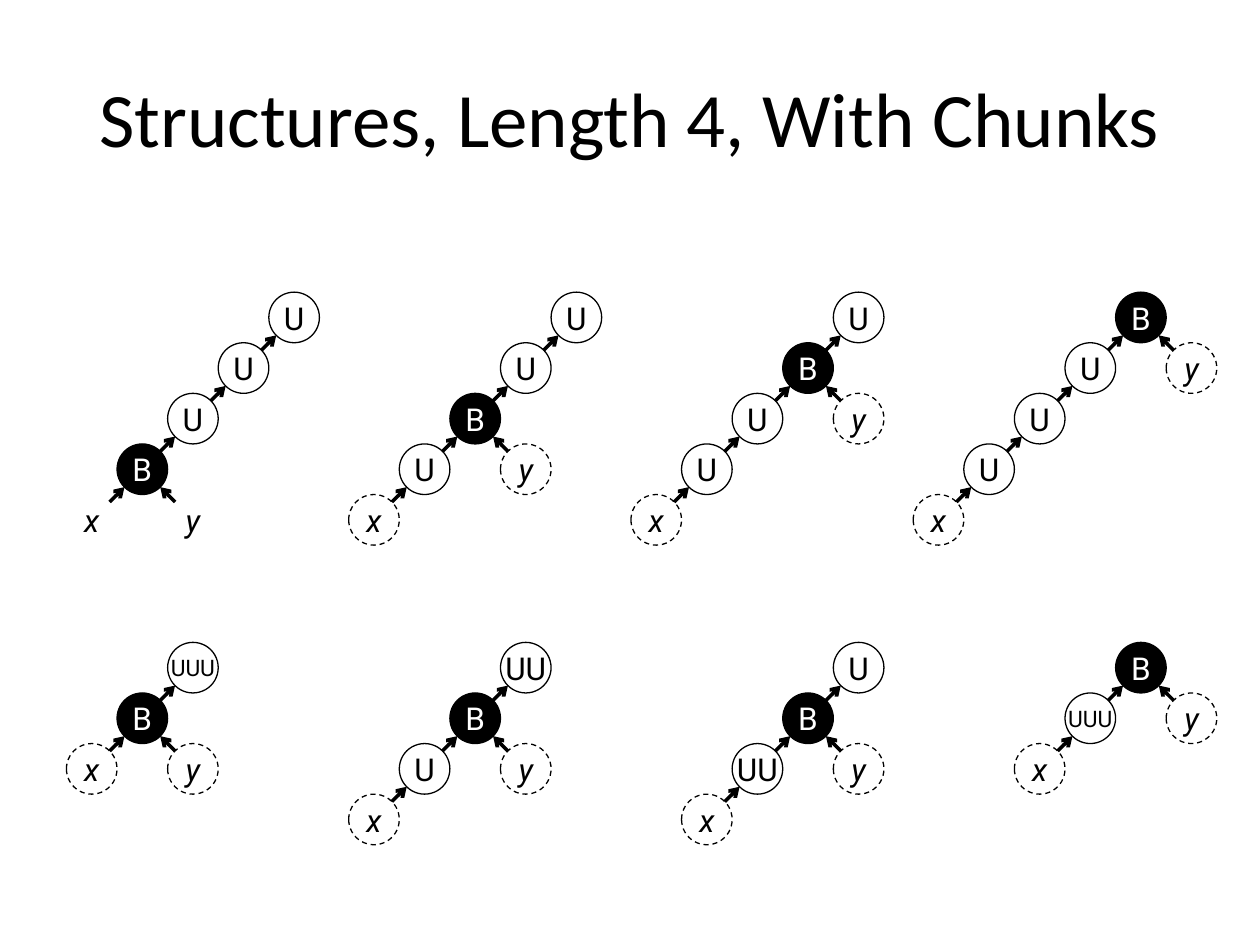
from math import sqrt

from lxml import etree
from pptx import Presentation
from pptx.dml.color import RGBColor
from pptx.enum.dml import MSO_LINE
from pptx.enum.shapes import MSO_CONNECTOR, MSO_SHAPE
from pptx.enum.text import MSO_ANCHOR, PP_ALIGN
from pptx.oxml.ns import qn
from pptx.util import Cm, Pt

BLACK = RGBColor(0, 0, 0)
WHITE = RGBColor(255, 255, 255)
DASH = MSO_LINE.DASH
OVAL = MSO_SHAPE.OVAL
LINE = MSO_CONNECTOR.STRAIGHT
MIDDLE = MSO_ANCHOR.MIDDLE
CENTER = PP_ALIGN.CENTER

SIZE = 1.02             # circle width, also the step between circles
RIM = SIZE / 2 / sqrt(2)  # centre to rim along the diagonal, per axis
LEFT, PITCH = 2.36, 6.71  # column of the B circles

# Top of the root, then the chains from the leaf x up to the root
ROWS = [
    (5.89, ["x B U U U", "x U B U U", "x U U B U", "x U U U B"]),
    (12.95, ["x B UUU", "x U B UU", "x UU B U", "x UUU B"]),
]


def add_node(group, label, left, top, framed):
    node = group.shapes.add_shape(OVAL, Cm(left), Cm(top), Cm(SIZE), Cm(SIZE))
    node.shadow.inherit = False
    leaf = label in "xy"
    node.fill.solid()
    node.fill.fore_color.rgb = BLACK if label == "B" else WHITE
    if framed:
        node.line.color.rgb = BLACK
        node.line.width = Pt(0.75)
        if leaf:
            node.line.dash_style = DASH
    else:
        node.line.fill.background()
    frame = node.text_frame
    frame.margin_left = frame.margin_right = 0
    frame.margin_top = frame.margin_bottom = 0
    frame.word_wrap = False
    frame.vertical_anchor = MIDDLE
    frame.text = label
    para = frame.paragraphs[0]
    para.alignment = CENTER
    font = para.runs[0].font
    font.name = "Roboto"
    font.size = Pt(13 if label == "UUU" else 18)
    font.italic = leaf
    font.color.rgb = WHITE if label == "B" else BLACK


def add_arrow(group, left, top, side):
    """Point at the circle at left, top from its child; side is -1 or 1."""
    x, y = left + SIZE / 2, top + SIZE / 2
    near, far = RIM, SIZE - RIM
    arrow = group.shapes.add_connector(
        LINE, Cm(x + side * near), Cm(y + near), Cm(x + side * far), Cm(y + far))
    arrow.line.color.rgb = BLACK
    arrow.line.width = Pt(2)
    etree.SubElement(arrow.line._get_or_add_ln(), qn("a:headEnd"), type="arrow")
    etree.SubElement(arrow._element.spPr, qn("a:effectLst"))


deck = Presentation()
deck.slide_width, deck.slide_height = Cm(25.4), Cm(19.05)
slide = deck.slides.add_slide(deck.slide_layouts[6])

title = slide.shapes.add_textbox(Cm(1.27), Cm(0.76), Cm(22.86), Cm(3.18))
frame = title.text_frame
frame.word_wrap = True
frame.vertical_anchor = MIDDLE
frame.text = "Structures, Length 4, With Chunks"
para = frame.paragraphs[0]
para.alignment = CENTER
font = para.runs[0].font
font.name = "Calibri"
font.size = Pt(44)
font.color.rgb = BLACK

for row, (root, chains) in enumerate(ROWS):
    group = slide.shapes.add_group_shape()
    for col, chain in enumerate(chains):
        labels = chain.split()
        fork = labels.index("B")
        framed = (row, col) != (0, 0)  # the first tree has bare leaves
        for level, label in enumerate(labels):
            left = LEFT + col * PITCH + (level - fork) * SIZE
            top = root + (len(labels) - 1 - level) * SIZE
            add_node(group, label, left, top, framed or label != "x")
            if level > 0:
                add_arrow(group, left, top, -1)
            if label == "B":
                add_node(group, "y", left + SIZE, top + SIZE, framed)
                add_arrow(group, left, top, 1)

deck.save("out.pptx")
